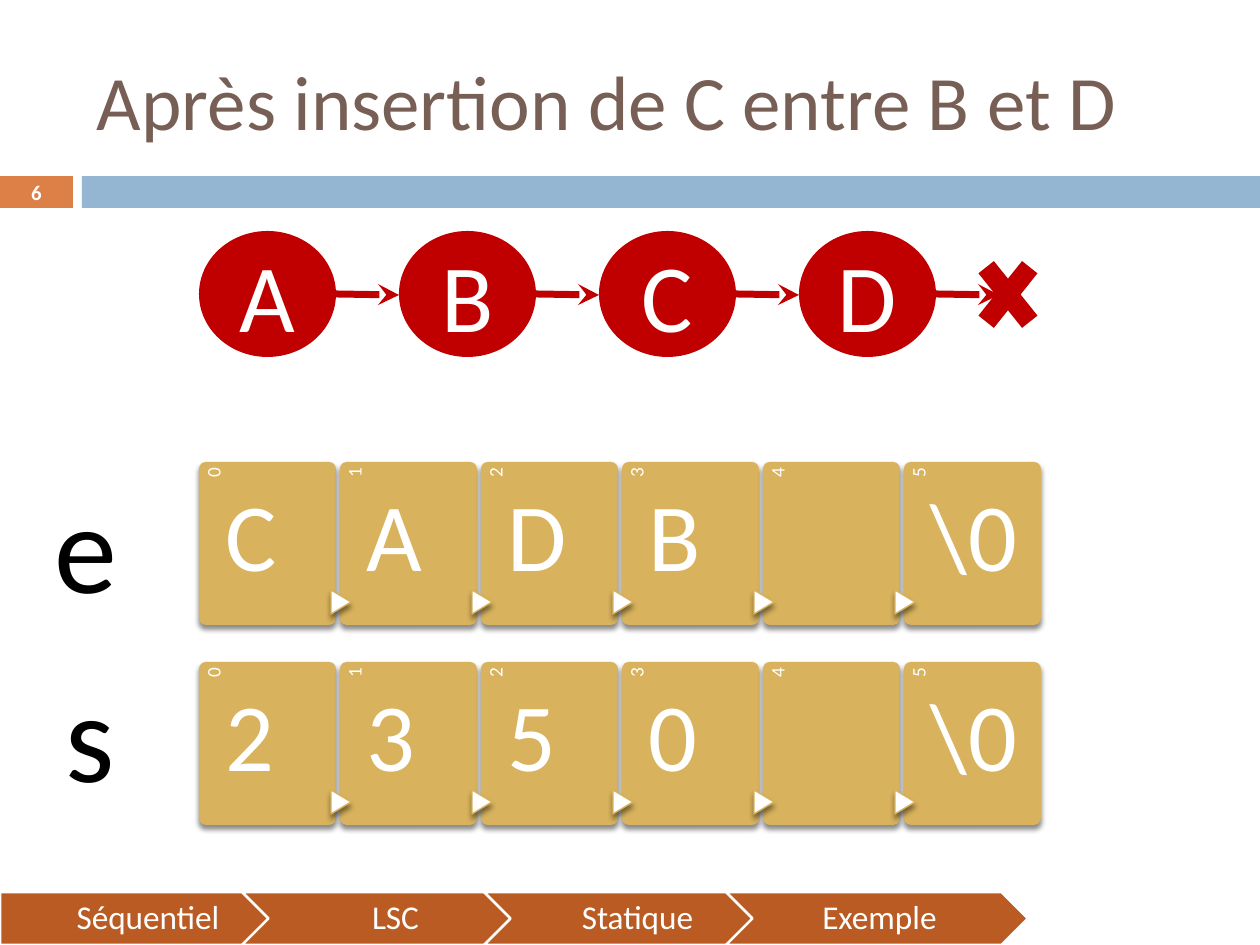
from typing import NamedTuple

from lxml.etree import SubElement
from pptx import Presentation
from pptx.dml.color import RGBColor
from pptx.enum.shapes import MSO_CONNECTOR, MSO_SHAPE
from pptx.enum.text import MSO_ANCHOR, MSO_AUTO_SIZE, PP_ALIGN
from pptx.oxml.ns import qn
from pptx.util import Emu, Pt

FONT = "Calibri"
WHITE, BLACK, RED, GOLD = "FFFFFF", "000000", "C00000", "D8B25C"
ORANGE, BLUE, RUST, BROWN = "DD8047", "94B6D2", "B95B22", "775F55"


class Area(NamedTuple):
    left: int
    top: int
    width: int
    height: int


class Style(NamedTuple):
    size: float
    color: str = WHITE
    align: PP_ALIGN = PP_ALIGN.CENTER
    anchor: MSO_ANCHOR = MSO_ANCHOR.MIDDLE
    insets: tuple = (13, 6, 13, 6)
    spacing: float = 1.0
    bold: bool = False
    wrap: bool = True


class ArrayRow(NamedTuple):
    name: str
    name_area: Area
    top: int
    values: tuple


TITLE = Style(44, BROWN, PP_ALIGN.LEFT)
NUMBER = Style(11.9, bold=True)
NODE = Style(55)
STEP = Style(19, insets=(10, 8, 4, 8), spacing=0.9)
INDEX = Style(11, align=PP_ALIGN.RIGHT, anchor=MSO_ANCHOR.TOP, insets=(0, 5, 6, 0), spacing=0.9)
VALUE = Style(55, align=PP_ALIGN.LEFT, anchor=MSO_ANCHOR.TOP, insets=(0, 26, 0, 0), spacing=0.9)
NAME = Style(72, BLACK, PP_ALIGN.LEFT, MSO_ANCHOR.TOP, wrap=False)

STEPS = ("Séquentiel", "LSC", "Statique", "Exemple")
NODES = ("A", "B", "C", "D")
ROWS = (
    ArrayRow("e", Area(42, 462, 89, 165), 462, ("C", "A", "D", "B", "", "\\0")),
    ArrayRow("s", Area(53, 651, 68, 165), 662, ("2", "3", "5", "0", "", "\\0")),
)


def px(length: float) -> Emu:
    return Emu(round(length * 914400 / 126))


def rgb(color: str) -> RGBColor:
    return RGBColor.from_string(color)


def place(area: Area) -> tuple:
    return tuple(px(length) for length in area)


def write(shape, text: str, style: Style) -> None:
    frame = shape.text_frame
    frame.word_wrap = style.wrap
    frame.auto_size = MSO_AUTO_SIZE.NONE if style.wrap else MSO_AUTO_SIZE.SHAPE_TO_FIT_TEXT
    frame.vertical_anchor = style.anchor
    frame.margin_left, frame.margin_top, frame.margin_right, frame.margin_bottom = (
        px(inset) for inset in style.insets
    )
    para = frame.paragraphs[0]
    para.alignment = style.align
    para.line_spacing = style.spacing
    span = para.add_run()
    span.text = text
    span.font.name = FONT
    span.font.size = Pt(style.size)
    span.font.bold = style.bold
    span.font.color.rgb = rgb(style.color)


def add_text(page, area: Area, text: str, style: Style, rotation: float = 0):
    box = page.shapes.add_textbox(*place(area))
    box.rotation = rotation
    write(box, text, style)
    return box


def add_shape(page, kind: MSO_SHAPE, area: Area, fill: str, line: str = "", width: float = 0):
    shape = page.shapes.add_shape(kind, *place(area))
    shape.shadow.inherit = False
    shape.fill.solid()
    shape.fill.fore_color.rgb = rgb(fill)
    if line:
        shape.line.color.rgb = rgb(line)
        shape.line.width = Pt(width)
    else:
        shape.line.fill.background()
    return shape


def add_shadow(shape) -> None:
    effects = shape.element.spPr.find(qn("a:effectLst"))
    shadow = SubElement(effects, qn("a:outerShdw"), blurRad=str(Pt(3)), dist=str(Pt(2.4)),
                        dir="5400000", algn="ctr", rotWithShape="0")
    color = SubElement(shadow, qn("a:srgbClr"), val=BLACK)
    SubElement(color, qn("a:alpha"), val="45000")


def add_arrow(page, left: int, top: int, right: int, bottom: int) -> None:
    arrow = page.shapes.add_connector(
        MSO_CONNECTOR.STRAIGHT, px(left), px(top), px(right), px(bottom))
    arrow.line.color.rgb = rgb(RED)
    arrow.line.width = Pt(4)
    SubElement(arrow.line._get_or_add_ln(), qn("a:tailEnd"), type="stealth")
    SubElement(arrow.element.spPr, qn("a:effectLst"))


def add_step(page, position: int, text: str) -> None:
    left = 242 * position
    kind = MSO_SHAPE.CHEVRON if position else MSO_SHAPE.PENTAGON
    add_shape(page, kind, Area(left, 892, 302, 53), RUST, WHITE, 1.5)
    text_area = Area(left + 26, 892, 249, 53) if position else Area(0, 892, 290, 53)
    add_text(page, text_area, text, STEP)


def add_node(page, position: int, text: str) -> None:
    left = 199 + 200 * position
    node = add_shape(page, MSO_SHAPE.OVAL, Area(left, 231, 137, 126), RED)
    write(node, text, NODE)
    add_arrow(page, left + 137, 294, left + 200, 295)


def add_cell(page, position: int, top: int, value: str) -> None:
    left = 199 + 141 * position
    cell = add_shape(page, MSO_SHAPE.ROUNDED_RECTANGLE, Area(left, top, 137, 163), GOLD)
    cell.adjustments[0] = 0.05
    add_shadow(cell)
    add_text(page, Area(left - 53, top + 53, 134, 28), str(position), INDEX, 270)
    if position:
        marker = add_shape(page, MSO_SHAPE.FLOWCHART_EXTRACT,
                           Area(left - 11, top + 130, 24, 20), WHITE, GOLD, 0.79)
        marker.rotation = 90
        add_shadow(marker)
    if value:
        add_text(page, Area(left + 27, top, 101, 163), value, VALUE)


def main() -> None:
    deck = Presentation()
    deck.slide_width, deck.slide_height = px(1260), px(945)
    page = deck.slides.add_slide(deck.slide_layouts[5])

    title = page.shapes.title
    title.left, title.top, title.width, title.height = place(Area(84, 32, 1124, 136))
    write(title, "Après insertion de C entre B et D", TITLE)
    add_shape(page, MSO_SHAPE.RECTANGLE, Area(0, 176, 73, 32), ORANGE)
    add_shape(page, MSO_SHAPE.RECTANGLE, Area(82, 176, 1178, 32), BLUE)
    add_text(page, Area(0, 175, 73, 34), "6", NUMBER)

    for position, text in enumerate(STEPS):
        add_step(page, position, text)
    for row in ROWS:
        add_text(page, row.name_area, row.name, NAME)
        for position, value in enumerate(row.values):
            add_cell(page, position, row.top, value)
    for position, text in enumerate(NODES):
        add_node(page, position, text)
    add_shape(page, MSO_SHAPE.MATH_MULTIPLY, Area(966, 242, 84, 105), RED)

    deck.save("out.pptx")


main()
